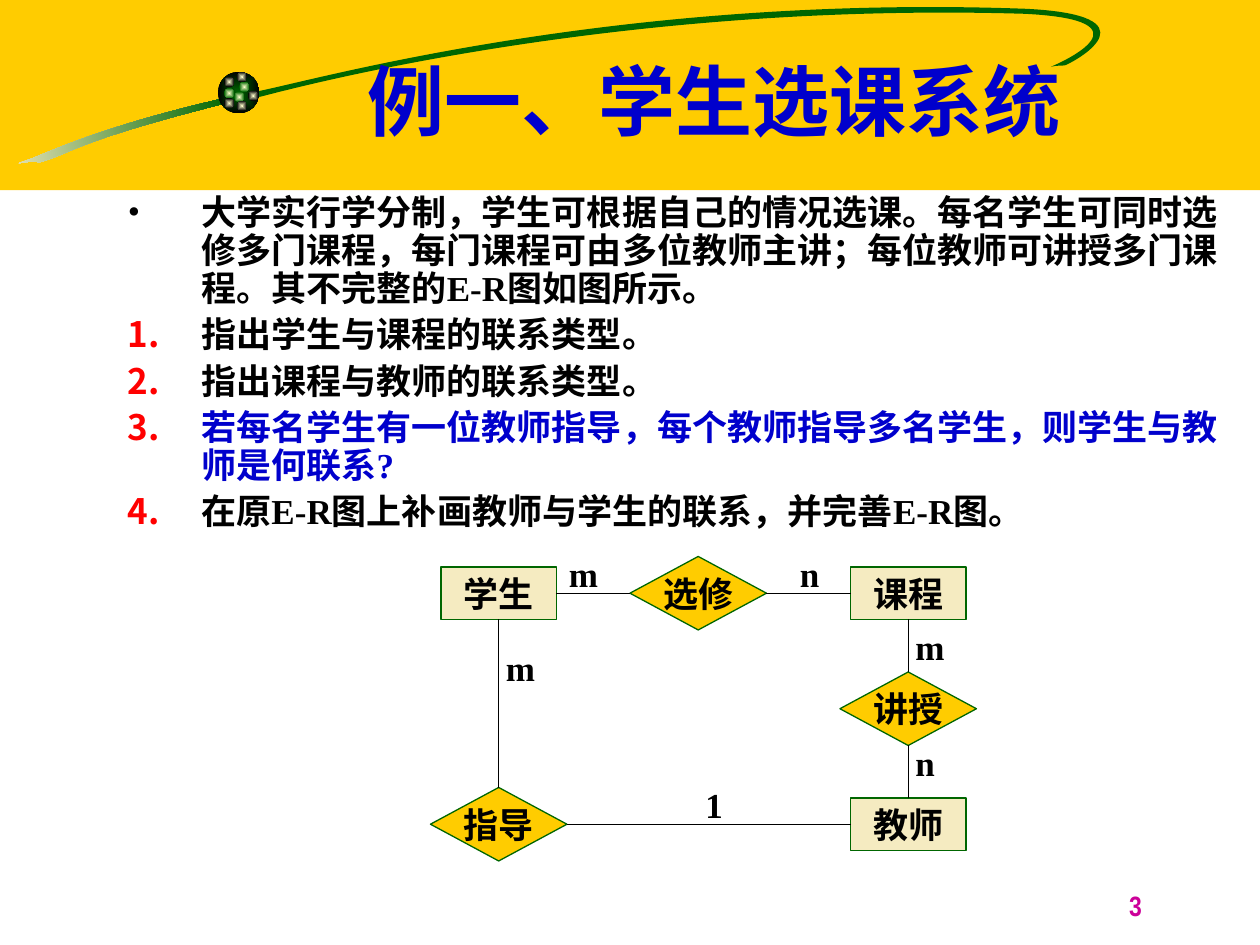
from math import cos, radians, sin

from pptx import Presentation
from pptx.dml.color import RGBColor
from pptx.enum.shapes import MSO_CONNECTOR, MSO_SHAPE
from pptx.enum.text import MSO_ANCHOR, MSO_AUTO_SIZE, PP_ALIGN
from pptx.oxml import parse_xml
from pptx.oxml.ns import qn
from pptx.util import Inches, Pt

RECT, DIAMOND, OVAL = MSO_SHAPE.RECTANGLE, MSO_SHAPE.DIAMOND, MSO_SHAPE.OVAL
STRAIGHT = MSO_CONNECTOR.STRAIGHT
LEFT, CENTER, RIGHT = PP_ALIGN.LEFT, PP_ALIGN.CENTER, PP_ALIGN.RIGHT
TOP, MIDDLE = MSO_ANCHOR.TOP, MSO_ANCHOR.MIDDLE
FIT_SHAPE = MSO_AUTO_SIZE.SHAPE_TO_FIT_TEXT
SITE_TOP, SITE_LEFT, SITE_BOTTOM, SITE_RIGHT = range(4)

COLORS = {
    "yellow": "FFCC00", "cream": "F5EBC1", "pale": "FFFFCC", "green": "006600",
    "black": "000000", "blue": "0000CC", "red": "FF0000", "magenta": "CC0099",
    "white": "FFFFFF",
}
SERIF, CJK, NARROW = "Times New Roman", "Noto Sans CJK JP", "Arial Narrow"
NS = 'xmlns:a="http://schemas.openxmlformats.org/drawingml/2006/main"'
UNIT = 1 / 12  # grid step of text and diagram, in inches
TILT = 351.5  # rotation of the banner stroke, in degrees


def color(name):
    return RGBColor.from_string(COLORS[name])


def write(para, text, size=20, font=SERIF, ink="black", align=LEFT):
    """Put one bold span of text into a paragraph."""
    para.alignment = align
    span = para.add_run()
    span.text = text
    span.font.size, span.font.bold, span.font.name = Pt(size), True, font
    span.font.color.rgb = color(ink)
    span.font._element.find(qn("a:latin")).addnext(
        parse_xml(f'<a:ea {NS} typeface="{CJK}"/>'))


def set_bullet(para, ink, font, mark):
    """Add a hanging bullet; mark is its XML element."""
    props = para._p.get_or_add_pPr()
    props.set("marL", str(Inches(7 * UNIT)))
    props.set("indent", str(-Inches(7 * UNIT)))
    for part in (f'<a:buClr {NS}><a:srgbClr val="{COLORS[ink]}"/></a:buClr>',
                 f'<a:buFont {NS} typeface="{font}"/>', mark):
        props.append(parse_xml(part))


def turn(point, degrees):
    """Rotate a point clockwise about the page's corner."""
    x, y = point
    c, s = cos(radians(degrees)), sin(radians(degrees))
    return x * c - y * s, x * s + y * c


class SlideBuilder:
    def __init__(self, page):
        self.page = page

    def paint(self, shape, fill, line=None, radial=False):
        """Fill with one colour name, or a pair for a gradient."""
        shape.shadow.inherit = False
        if isinstance(fill, tuple):
            shape.fill.gradient()
            shape.fill.gradient_angle = 0
            for stop, name, place in zip(shape.fill.gradient_stops, fill, (0, 1)):
                stop.color.rgb, stop.position = color(name), place
            if radial:
                linear = shape._element.spPr.find(".//" + qn("a:lin"))
                linear.getparent().replace(linear, parse_xml(
                    f'<a:path {NS} path="rect"><a:fillToRect l="50000" t="50000" '
                    'r="50000" b="50000"/></a:path>'))
        else:
            shape.fill.solid()
            shape.fill.fore_color.rgb = color(fill)
        if line:
            shape.line.color.rgb, shape.line.width = color(line), Pt(0.75)
        else:
            shape.line.fill.background()

    def shape(self, kind, left, top, width, height, fill, **look):
        shape = self.page.shapes.add_shape(
            kind, Inches(left), Inches(top), Inches(width), Inches(height))
        self.paint(shape, fill, **look)
        return shape

    def stroke(self, points, fill):
        """Draw a tilted outline: a start, then three points for each curve."""
        corners = [tuple(Inches(v) for v in turn(p, -TILT)) for p in points]
        builder = self.page.shapes.build_freeform(*corners[0], scale=1.0)
        builder.add_line_segments(corners[1:], close=True)
        shape = builder.convert_to_shape()
        # Join each three segments into one curve
        segments = list(shape._element.spPr.iter(qn("a:lnTo")))
        for index in range(0, len(segments), 3):
            curve = parse_xml(f"<a:cubicBezTo {NS}/>")
            segments[index].addprevious(curve)
            for segment in segments[index:index + 3]:
                curve.append(segment[0])
                segment.getparent().remove(segment)
        # Turn the shape about its own centre
        half_width, half_height = shape.width / 2, shape.height / 2
        x, y = turn((shape.left + half_width, shape.top + half_height), TILT)
        shape.left, shape.top = round(x - half_width), round(y - half_height)
        shape.rotation = TILT
        self.paint(shape, fill)

    def text_box(self, left, top, width, height, anchor=TOP, wrap=True):
        box = self.page.shapes.add_textbox(
            Inches(left), Inches(top), Inches(width), Inches(height))
        box.text_frame.word_wrap = wrap
        box.text_frame.vertical_anchor = anchor
        return box.text_frame

    def node(self, kind, text, column, row):
        """Draw an entity (rectangle) or a relationship (diamond)."""
        width, height, fill = (11, 5, "cream") if kind == RECT else (13, 7, "yellow")
        shape = self.shape(kind, (column - width / 2) * UNIT, (row - height / 2) * UNIT,
                           width * UNIT, height * UNIT, fill, line="green")
        shape.text_frame.word_wrap = False
        shape.text_frame.vertical_anchor = MIDDLE
        write(shape.text_frame.paragraphs[0], text, align=CENTER)
        return shape

    def link(self, first, first_site, second, second_site):
        line = self.page.shapes.add_connector(STRAIGHT, 0, 0, 0, 0)
        line.begin_connect(first, first_site)
        line.end_connect(second, second_site)
        line.line.color.rgb, line.line.width = color("black"), Pt(0.75)
        line._element.spPr.append(parse_xml(f"<a:effectLst {NS}/>"))

    def label(self, text, column, row, width):
        frame = self.text_box(column * UNIT, row * UNIT, width, 0.44, wrap=False)
        frame.auto_size = FIT_SHAPE
        write(frame.paragraphs[0], text)


def draw_banner(slide):
    slide.shape(RECT, 0, 0, 10, 1.51, "yellow")
    # Sweeping stroke: fading tail, then the loop
    slide.stroke([
        (1.78, 0.78),
        (0.91, 0.98), (0.49, 1.16), (0.25, 1.26),
        (0.01, 1.34), (0.26, 1.26), (0.31, 1.29),
        (0.57, 1.22), (0.57, 1.13), (1.79, 0.82),
        (1.79, 0.82), (1.78, 0.78), (1.78, 0.78)], ("cream", "green"))
    slide.stroke([
        (2.02, 0.73),
        (2.46, 0.65), (4.86, -0.05), (8.14, 0.07),
        (9.17, 0.12), (8.57, 0.47), (8.45, 0.52),
        (8.45, 0.52), (8.38, 0.52), (8.34, 0.53),
        (8.44, 0.49), (9.16, 0.16), (8.13, 0.11),
        (5.48, 0.03), (3.2, 0.47), (2.06, 0.77),
        (2.06, 0.77), (2.02, 0.73), (2.02, 0.73)], "green")
    # Ball with glowing dots
    slide.shape(OVAL, 1.73, 0.57, 0.33, 0.33, ("green", "black"), radial=True)
    dots = [(1.9, 0.65, "green"), (1.78, 0.61, "black"), (1.78, 0.7, "green"),
            (1.86, 0.73, "green"), (1.97, 0.72, "black"), (1.88, 0.8, "black"),
            (1.78, 0.78, "black"), (1.88, 0.57, "black")]
    for left, top, edge in dots:
        slide.shape(OVAL, left, top, 0.08, 0.08, ("pale", edge), radial=True)
    # Half-transparent side panel
    panel = slide.shape(RECT, 0.74, 2.06, 1.22, 5.44, "white")
    panel._element.spPr.find(".//" + qn("a:srgbClr")).append(
        parse_xml(f'<a:alpha {NS} val="50000"/>'))


def draw_text(slide):
    number = slide.text_box(7.08, 7, 2.08, 0.5)
    write(number.paragraphs[0], "3", 16, NARROW, "magenta", RIGHT)
    title = slide.text_box(17 * UNIT, 2 * UNIT, 8.5, 1.25, anchor=MIDDLE)
    write(title.paragraphs[0], "例一、学生选课系统", 44, CJK, "blue", CENTER)

    dot = ("black", SERIF, f'<a:buChar {NS} char="•"/>')
    numbered = ("red", CJK, f'<a:buAutoNum {NS} type="arabicPeriod"/>')
    items = [
        ("大学实行学分制，学生可根据自己的情况选课。每名学生可同时选修多门课程，"
         "每门课程可由多位教师主讲；每位教师可讲授多门课程。其不完整的E-R图如图所示。",
         "black", dot),
        ("指出学生与课程的联系类型。", "black", numbered),
        ("指出课程与教师的联系类型。", "black", numbered),
        ("若每名学生有一位教师指导，每个教师指导多名学生，则学生与教师是何联系?",
         "blue", numbered),
        ("在原E-R图上补画教师与学生的联系，并完善E-R图。", "black", numbered),
    ]
    body = slide.text_box(11 * UNIT, 1.5, 109 * UNIT, 34 * UNIT)
    for index, (text, ink, bullet) in enumerate(items):
        para = body.add_paragraph() if index else body.paragraphs[0]
        para.line_spacing, para.space_before = 0.9, Pt(5)
        set_bullet(para, *bullet)
        write(para, text, ink=ink)


def draw_diagram(slide):
    left, middle, right = 47.5, 66.5, 86.5
    upper, center, lower = 56.5, 67.5, 78.5
    student = slide.node(RECT, "学生", left, upper)
    elects = slide.node(DIAMOND, "选修", middle, upper)
    teaches = slide.node(DIAMOND, "讲授", right, center)
    teacher = slide.node(RECT, "教师", right, lower)
    course = slide.node(RECT, "课程", right, upper)
    guides = slide.node(DIAMOND, "指导", left, lower)

    for first, second in ((student, elects), (elects, course), (guides, teacher)):
        slide.link(first, SITE_RIGHT, second, SITE_LEFT)
    for first, second in ((course, teaches), (teaches, teacher), (student, guides)):
        slide.link(first, SITE_BOTTOM, second, SITE_TOP)

    # Cardinalities
    for text, column, row, width in (
            ("1", 66, 74, 0.34), ("m", 47, 61, 0.43), ("n", 86, 70, 0.35),
            ("m", 86, 59, 0.43), ("n", 75, 52, 0.35), ("m", 53, 52, 0.43)):
        slide.label(text, column, row, width)


def main():
    deck = Presentation()
    deck.slide_width, deck.slide_height = Inches(10), Inches(7.5)
    slide = SlideBuilder(deck.slides.add_slide(deck.slide_layouts[6]))
    draw_banner(slide)
    draw_text(slide)
    draw_diagram(slide)
    deck.save("out.pptx")


if __name__ == "__main__":
    main()
